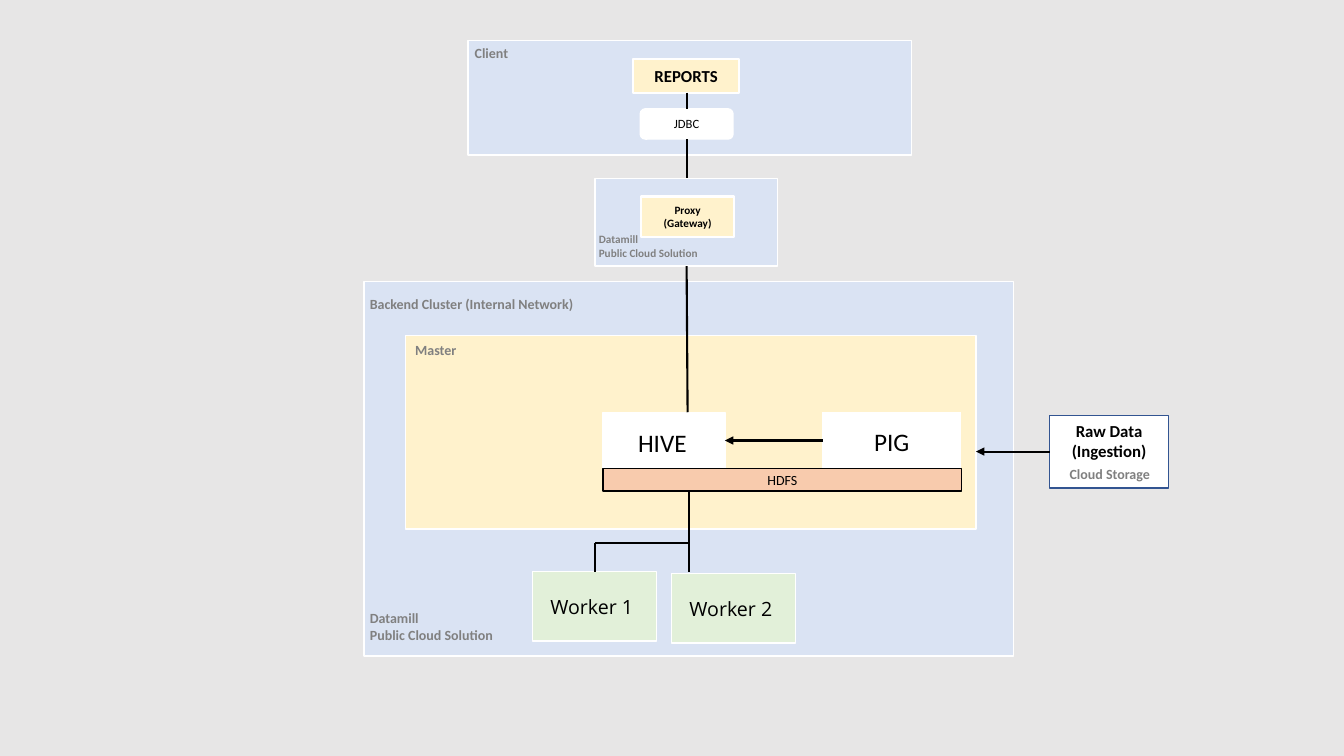
from dataclasses import dataclass

import lxml.etree
import pptx
import pptx.dml.color
import pptx.enum.shapes
import pptx.enum.text
import pptx.oxml.ns
import pptx.util

Inches = pptx.util.Inches
Kind = pptx.enum.shapes.MSO_SHAPE
Align = pptx.enum.text.PP_ALIGN
Anchor = pptx.enum.text.MSO_ANCHOR

BLACK, WHITE, GREY = "000000", "FFFFFF", "808080"
BLUE, CREAM, GREEN = "DAE3F3", "FFF2CC", "E2F0D9"
CLOUD = "Datamill\nPublic Cloud Solution"


@dataclass
class Box:
    left: float
    top: float
    width: float
    height: float
    fill: str
    text: str = ""
    size: int = 10
    bold: bool = False
    font: str = "Calibri"
    edge: str = WHITE
    weight: float = 1
    kind: Kind = Kind.RECTANGLE
    anchor: Anchor = Anchor.MIDDLE


@dataclass
class Label:
    left: float
    top: float
    width: float
    height: float
    text: str
    size: int = 10
    bold: bool = True
    tint: str = GREY


@dataclass
class Link:
    start: tuple[float, float]
    end: tuple[float, float]
    arrow: bool = False


def color(code: str) -> pptx.dml.color.RGBColor:
    return pptx.dml.color.RGBColor.from_string(code)


def write(frame, text: str, size: int, bold: bool, tint: str,
          align: Align, font: str = "Calibri") -> None:
    frame.word_wrap = True
    frame.text = text
    for line in frame.paragraphs:
        line.alignment = align
        for run in line.runs:
            run.font.name = font
            run.font.size = pptx.util.Pt(size)
            run.font.bold = bold
            run.font.color.rgb = color(tint)


def draw_box(slide, box: Box) -> None:
    shape = slide.shapes.add_shape(
        box.kind, Inches(box.left), Inches(box.top),
        Inches(box.width), Inches(box.height))
    shape.shadow.inherit = False
    shape.fill.solid()
    shape.fill.fore_color.rgb = color(box.fill)
    shape.line.color.rgb = color(box.edge)
    shape.line.width = pptx.util.Pt(box.weight)
    if box.text:
        shape.text_frame.vertical_anchor = box.anchor
        write(shape.text_frame, box.text, box.size, box.bold, BLACK,
              Align.CENTER, box.font)


def draw_label(slide, label: Label) -> None:
    shape = slide.shapes.add_textbox(
        Inches(label.left), Inches(label.top),
        Inches(label.width), Inches(label.height))
    write(shape.text_frame, label.text, label.size, label.bold, label.tint,
          Align.LEFT)


def draw_link(slide, link: Link) -> None:
    line = slide.shapes.add_connector(
        pptx.enum.shapes.MSO_CONNECTOR.STRAIGHT,
        *(Inches(n) for n in link.start + link.end))
    line.line.color.rgb = color(BLACK)
    line.line.width = pptx.util.Pt(1.5)
    qn = pptx.oxml.ns.qn
    props = line._element.spPr
    if link.arrow:
        lxml.etree.SubElement(props.find(qn("a:ln")), qn("a:tailEnd"),
                              type="triangle")
    lxml.etree.SubElement(props, qn("a:effectLst"))


BOXES = [
    # Client
    Box(4.64, 0.4, 4.4, 1.14, BLUE),
    Box(6.28, 0.59, 1.05, 0.33, CREAM, "REPORTS", 12, True, weight=1.5),
    Box(6.35, 1.08, 0.92, 0.3, WHITE, "JDBC", 9,
        kind=Kind.ROUNDED_RECTANGLE),
    # Proxy
    Box(5.9, 1.77, 1.81, 0.87, BLUE),
    Box(6.36, 1.95, 0.92, 0.4, CREAM, "Proxy (Gateway)", 8, True, weight=1.5),
    # Backend cluster and master
    Box(3.61, 2.79, 6.44, 3.72, BLUE),
    Box(4.02, 3.33, 5.66, 1.92, CREAM),
    Box(8.16, 4.09, 1.37, 0.57, WHITE, "PIG", 18),
    Box(5.98, 4.09, 1.21, 0.56, WHITE),
    # Raw data
    Box(10.41, 4.12, 1.18, 0.72, WHITE, "Raw Data (Ingestion)", 12, True,
        edge="325491", anchor=Anchor.TOP),
    # Workers
    Box(5.28, 5.67, 1.23, 0.69, GREEN, "Worker 1 ", 14, font="Open Sans"),
    Box(6.66, 5.69, 1.23, 0.69, GREEN, "Worker 2 ", 14, font="Open Sans"),
]

LINKS = [
    # Client down to the master
    Link((6.81, 0.92), (6.81, 1.08)),
    Link((6.81, 1.38), (6.81, 1.77)),
    Link((6.81, 2.64), (6.82, 4.09)),
    # Data flow
    Link((10.41, 4.48), (9.68, 4.48), arrow=True),
    Link((8.16, 4.37), (7.19, 4.37), arrow=True),
    # Branch to the workers
    Link((6.83, 4.87), (6.83, 5.67)),
    Link((5.9, 5.39), (6.83, 5.39)),
    Link((5.9, 5.67), (5.9, 5.39)),
]

STORE = Box(5.98, 4.65, 3.56, 0.22, "F8CBAD", "HDFS", edge=BLACK)

LABELS = [
    Label(4.61, 0.39, 1.37, 0.27, "Client"),
    Label(5.84, 2.26, 1.82, 0.37, CLOUD, 8),
    Label(3.57, 2.88, 2.84, 0.27, "Backend Cluster (Internal Network)"),
    Label(4.02, 3.34, 0.76, 0.27, "Master"),
    Label(6.23, 4.19, 0.7, 0.4, "HIVE", 18, False, BLACK),
    Label(10.51, 4.57, 1.08, 0.27, "Cloud Storage"),
    Label(3.57, 6, 1.82, 0.44, CLOUD),
]

deck = pptx.Presentation()
deck.slide_width, deck.slide_height = Inches(13.33), Inches(7.5)
slide = deck.slides.add_slide(deck.slide_layouts[6])
slide.background.fill.solid()
slide.background.fill.fore_color.rgb = color("E7E6E6")

for box in BOXES:
    draw_box(slide, box)
for link in LINKS:
    draw_link(slide, link)
draw_box(slide, STORE)
for label in LABELS:
    draw_label(slide, label)

deck.save("out.pptx")
